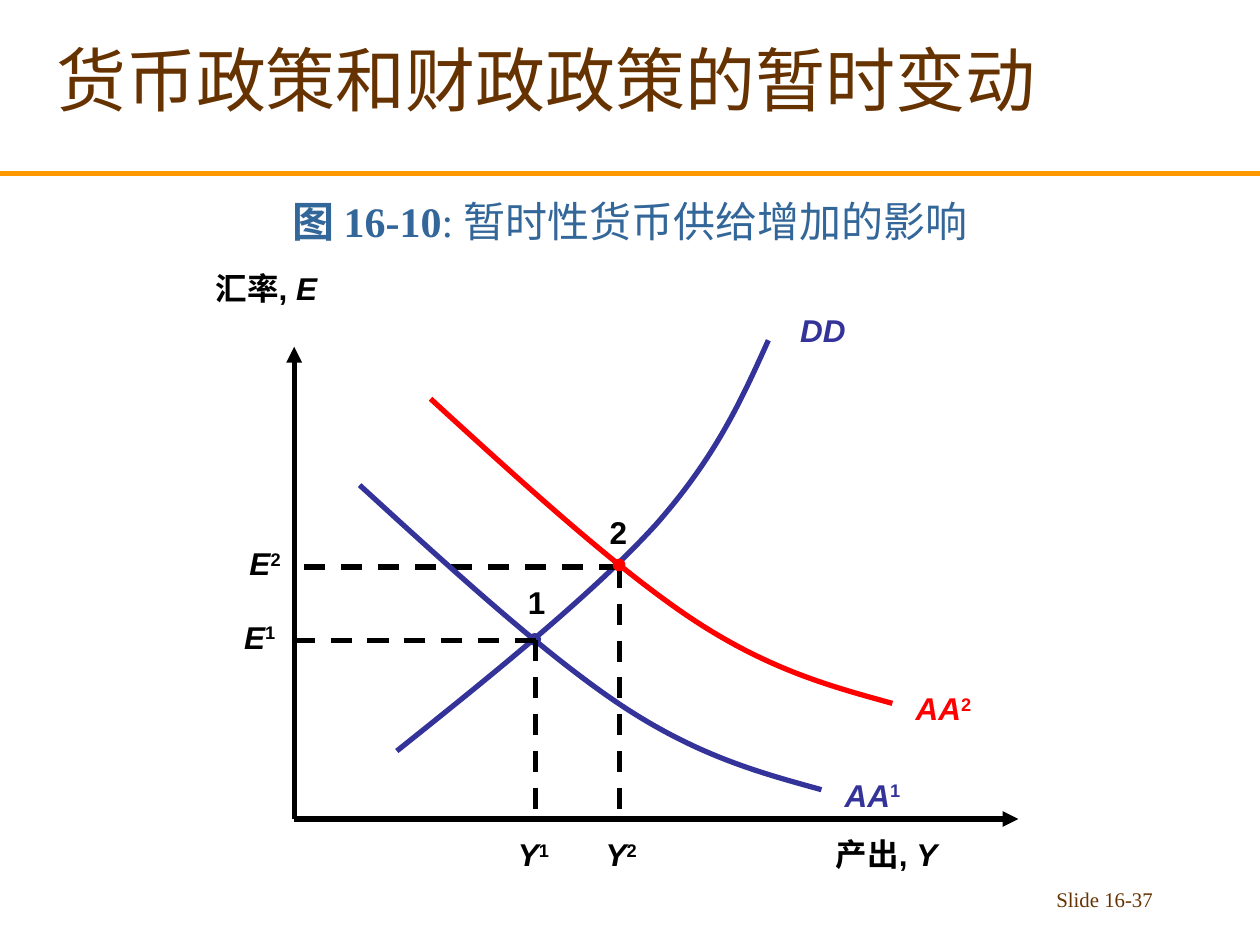
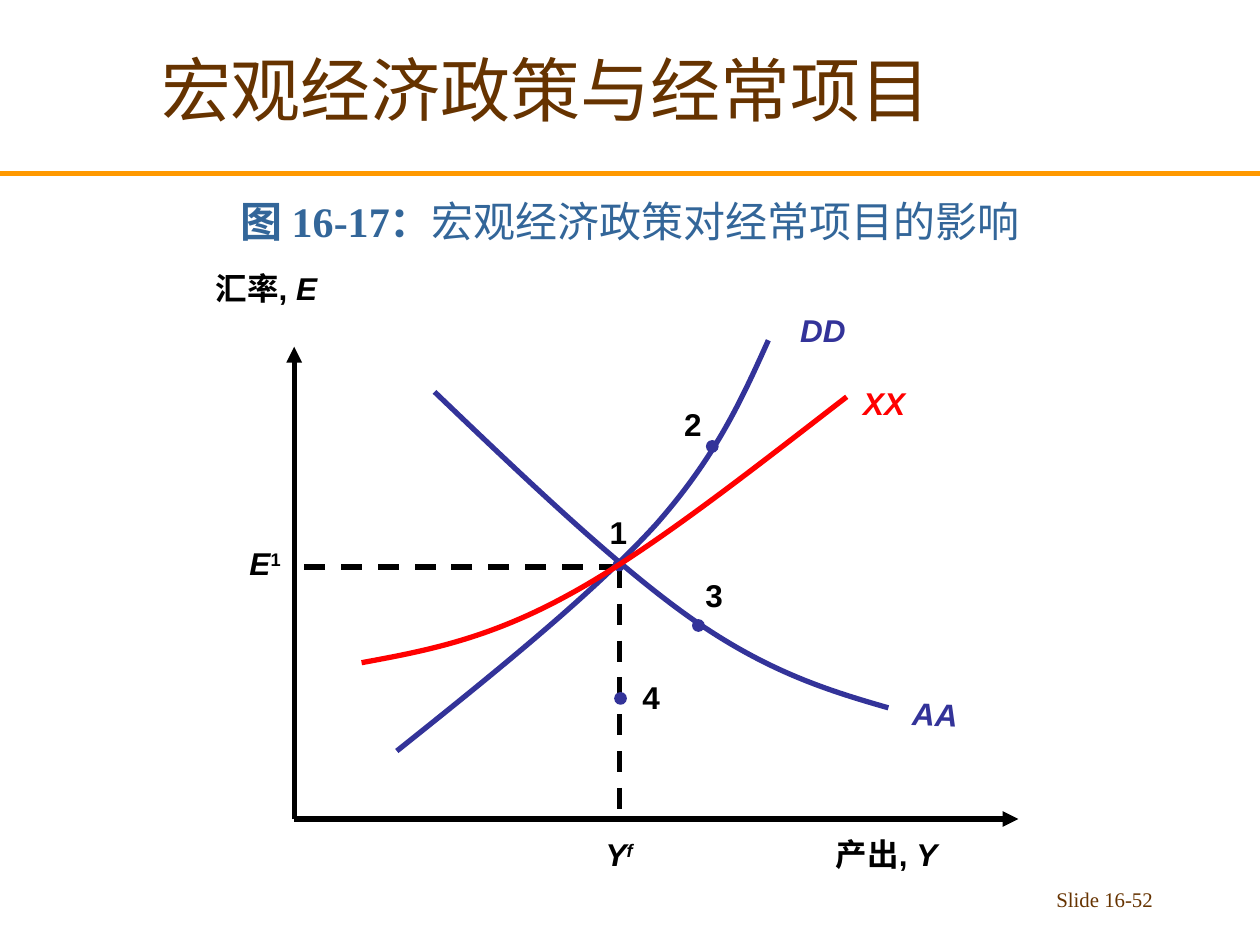
"""Build two slides of exchange-rate and output diagrams."""
from lxml.etree import SubElement
from pptx import Presentation
from pptx.dml.color import RGBColor
from pptx.enum.dml import MSO_LINE_DASH_STYLE as Dash
from pptx.enum.shapes import MSO_CONNECTOR_TYPE as Connector, MSO_SHAPE as Shape
from pptx.enum.text import MSO_ANCHOR as Anchor, MSO_AUTO_SIZE as AutoSize, PP_ALIGN as Align
from pptx.oxml.ns import qn
from pptx.util import Cm, Pt

BLACK, NAVY, RED = "000000", "333399", "FF0000"
BROWN, STEEL, ORANGE = "663300", "336699", "FF9900"
SERIF = "Times New Roman"
TITLE = {"name": SERIF, "size": Pt(40), "bold": False}
CAPTION = {"name": SERIF, "size": Pt(24), "bold": False}
FOOTER = {"name": SERIF, "size": Pt(11.9)}
LABEL = {"name": "Arial", "size": Pt(18), "bold": True}
BOLD, ITALIC = {"bold": True}, {"italic": True}
SUPER = {"baseline": 30000}

ORIGIN_X, ORIGIN_Y = 5.93, 16.51
DD = [(8, 15.14), (9.98, 13.56), (11.96, 11.96), (13.21, 10.59),
      (14.45, 9.19), (14.96, 8.03), (15.49, 6.86)]
AA_RAISED = [(8.68, 8.04), (10.55, 9.75), (12.42, 11.46), (13.97, 12.49),
             (15.52, 13.51), (16.76, 13.84), (17.99, 14.18)]
AA_SHIFT = (-1.43, 1.74)
AA_TILTED = [(8.76, 7.9), (10.59, 9.65), (12.42, 11.4), (13.94, 12.47),
             (15.47, 13.54), (16.69, 13.92), (17.91, 14.27)]
XX = [(17.07, 8), (15.06, 9.55), (13.06, 11.13), (11.43, 12.01),
      (9.8, 12.9), (8.53, 13.13), (7.29, 13.36)]


def rgb(value):
    return RGBColor.from_string(value)


def shifted(point, offset):
    return point[0] + offset[0], point[1] + offset[1]


class Deck:
    def __init__(self):
        self.presentation = Presentation()
        self.presentation.slide_width = Cm(25.4)
        self.presentation.slide_height = Cm(19.05)
        self.layout = self.presentation.slide_layouts.get_by_name("Title Only")
        self.slide = None

    def start_slide(self, title, title_top, caption, number):
        first = self.slide is None
        self.slide = self.presentation.slides.add_slide(self.layout)
        if first:
            rule = self.line((0, 3.5), (25.4, 3.5), ORANGE)
            self.layout.shapes.element.append(rule.element)
        placeholder = self.slide.shapes.title
        placeholder.left, placeholder.top = Cm(0.2), Cm(title_top)
        placeholder.width, placeholder.height = Cm(21.6), Cm(3.18)
        self.set_text(placeholder, [(title, {})], TITLE, BROWN, Align.CENTER, Anchor.MIDDLE)
        self.text(0, 3.6, 25.4, 1.48, caption, CAPTION, STEEL, Align.CENTER, Anchor.BOTTOM)
        self.text(18.21, 17.75, 5.28, 0.9, [(f"Slide {number}", {})], FOOTER, BROWN, Align.RIGHT)

    def set_text(self, shape, runs, style, color, align=Align.LEFT, anchor=Anchor.TOP):
        frame = shape.text_frame
        settings = {"word_wrap": True, "auto_size": AutoSize.NONE, "vertical_anchor": anchor}
        for name, value in settings.items():
            setattr(frame, name, value)
        paragraph = frame.paragraphs[0]
        paragraph.alignment = align
        for words, changes in runs:
            run = paragraph.add_run()
            run.text = words
            run.font.color.rgb = rgb(color)
            for name, value in {**style, **changes}.items():
                if name == "baseline":
                    run._r.get_or_add_rPr().set(name, str(value))
                else:
                    setattr(run.font, name, value)

    def text(self, left, top, width, height, runs, *style):
        shape = self.slide.shapes.add_textbox(Cm(left), Cm(top), Cm(width), Cm(height))
        self.set_text(shape, runs, *style)
        return shape

    def label(self, place, *runs, color=BLACK, width=2):
        return self.text(*place, width, 1.02, runs, LABEL, color)

    def line(self, start, end, color=BLACK, dash=None, arrow=False):
        ends = [Cm(value) for value in (*start, *end)]
        connector = self.slide.shapes.add_connector(Connector.STRAIGHT, *ends)
        formats = {"width": Pt(3), "dash_style": dash}
        connector.line.color.rgb = rgb(color)
        for name, value in formats.items():
            setattr(connector.line, name, value)
        properties = connector.element.spPr
        if arrow:
            SubElement(properties.find(qn("a:ln")), qn("a:tailEnd"), type="triangle")
        SubElement(properties, qn("a:effectLst"))
        return connector

    def curve(self, points, color=NAVY):
        start, *controls = [(Cm(x), Cm(y)) for x, y in points]
        builder = self.slide.shapes.build_freeform(*start)
        builder.add_line_segments(controls, close=False)
        shape = builder.convert_to_shape()
        shape.shadow.inherit = False
        shape.fill.background()
        shape.line.color.rgb = rgb(color)
        shape.line.width = Pt(3)
        outline = next(shape.element.iter(qn("a:path")))
        segments = outline.findall(qn("a:lnTo"))
        for index in range(0, len(segments), 3):
            bezier = SubElement(outline, qn("a:cubicBezTo"))
            for segment in segments[index:index + 3]:
                bezier.append(segment[0])
                outline.remove(segment)

    def dot(self, center, color=NAVY):
        size = 0.23
        left, top = shifted(center, (-size / 2, -size / 2))
        shape = self.slide.shapes.add_shape(Shape.OVAL, Cm(left), Cm(top), Cm(size), Cm(size))
        shape.shadow.inherit = False
        shape.fill.solid()
        shape.fill.fore_color.rgb = rgb(color)
        shape.line.color.rgb = rgb(color)
        shape.line.width = Pt(0.75)

    def axes(self):
        origin = (ORIGIN_X, ORIGIN_Y)
        self.line(origin, (ORIGIN_X, 6.99), arrow=True)
        self.line(origin, (20.53, ORIGIN_Y), arrow=True)
        self.label((4.1, 5.29), ("汇率, ", {}), ("E", ITALIC), width=3)
        self.label((16.6, 16.71), ("产出, ", {}), ("Y", ITALIC), width=3)

    def guides(self, point, rate_left, output_left, rate_mark, output_mark):
        x, y = point
        for end in ((ORIGIN_X, y), (x, ORIGIN_Y)):
            self.line(point, end, dash=Dash.DASH)
        self.label((rate_left, y - 0.58), ("E", ITALIC), (rate_mark, SUPER))
        self.label((output_left, 16.71), ("Y", ITALIC), output_mark)

    def point(self, center, number, place, color=NAVY):
        self.dot(center, color)
        self.label(place, (number, {}), width=1)

    def demand_curve(self):
        self.curve(DD)
        self.label((15.88, 6.15), ("DD", ITALIC), color=NAVY)

    def asset_curve(self, mark, color, offset=(0, 0)):
        self.curve([shifted(point, offset) for point in AA_RAISED], color)
        self.label(shifted((18.21, 13.77), offset), ("AA", ITALIC), (mark, SUPER), color=color)


def main():
    deck = Deck()

    deck.start_slide("货币政策和财政政策的暂时变动", 0,
                     [("图 16-10", BOLD), (": 暂时性货币供给增加的影响", {})], "16-37")
    deck.demand_curve()
    deck.axes()
    deck.asset_curve("2", RED)
    deck.guides((12.49, 11.43), 4.78, 11.96, "2", ("2", SUPER))
    deck.point((12.48, 11.39), "2", (12.04, 10.21), RED)
    deck.asset_curve("1", NAVY, AA_SHIFT)
    deck.point((10.78, 12.89), "1", (10.39, 11.63))
    deck.guides((10.8, 12.91), 4.67, 10.19, "1", ("1", SUPER))

    deck.start_slide("宏观经济政策与经常项目", 0.2,
                     [("图 16-17：", BOLD), ("宏观经济政策对经常项目的影响", {})], "16-52")
    deck.axes()
    deck.curve(AA_TILTED)
    tilted = deck.label((18.14, 13.89), ("AA", ITALIC), color=NAVY)
    tilted.rotation = 1.6
    deck.guides((12.49, 11.43), 4.78, 11.96, "1", ("f", {**ITALIC, **SUPER}))
    deck.point((12.48, 11.39), "1", (12.04, 10.21))
    deck.demand_curve()
    deck.curve(XX, RED)
    deck.label((17.15, 7.62), ("XX", ITALIC), color=RED)
    deck.point((12.51, 14.08), "4", (12.7, 13.54))
    deck.point((14.08, 12.61), "3", (13.97, 11.48))
    deck.point((14.36, 9), "2", (13.54, 8.05))

    deck.presentation.save("out.pptx")


if __name__ == "__main__":
    main()
